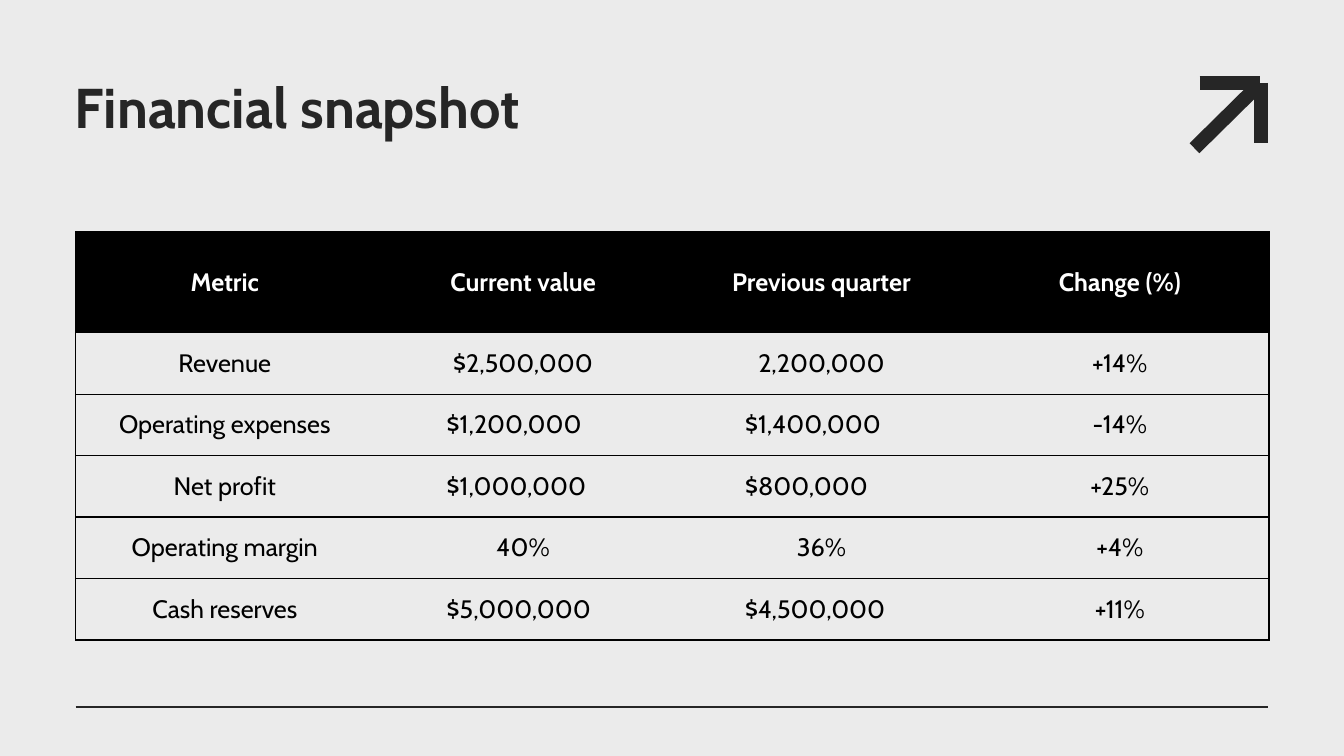
from lxml.etree import SubElement
from pptx import Presentation
from pptx.dml.color import RGBColor
from pptx.enum.shapes import MSO_CONNECTOR
from pptx.enum.text import MSO_ANCHOR, PP_ALIGN
from pptx.oxml import parse_xml
from pptx.oxml.ns import nsdecls, qn
from pptx.util import Pt

COLORS = {"paper": "EBEBEB", "ink": "262626", "black": "000000", "white": "FFFFFF"}
FONT = "Cabin"
LEFT, RIGHT = 54, 906
HEADER_H, ROW_H = 72, 43.92
FIGURE_INDENT = 52

ROWS = [
    ("Metric", "Current value", "Previous quarter", "Change (%)"),
    ("Revenue", "$2,500,000", "2,200,000", "+14%"),
    ("Operating expenses", "$1,200,000", "$1,400,000", "-14%"),
    ("Net profit", "$1,000,000", "$800,000", "+25%"),
    ("Operating margin", "40%", "36%", "+4%"),
    ("Cash reserves", "$5,000,000", "$4,500,000", "+11%"),
]
INDENTED_ROWS = (2, 3, 5)
ARROW = [
    ((856.8, 59.2), (900, 59.2)),
    ((900.8, 59.2), (900.8, 102.2)),
    ((853.2, 105.9), (895.7, 64)),
]


def rgb(name):
    return RGBColor.from_string(COLORS[name])


class SlideBuilder:
    def __init__(self, prs):
        self.slide = prs.slides.add_slide(prs.slide_layouts[5])
        fill = self.slide.background.fill
        fill.solid()
        fill.fore_color.rgb = rgb("paper")

    def style(self, p, size, color, bold=False):
        p.font.name = FONT
        p.font.size = Pt(size)
        p.font.bold = bold
        p.font.color.rgb = rgb(color)

    def title(self, text, x, y, w, h):
        sp = self.slide.shapes.title
        sp.left, sp.top, sp.width, sp.height = Pt(x), Pt(y), Pt(w), Pt(h)
        tf = sp.text_frame
        tf.text = text
        tf.word_wrap = True
        tf.vertical_anchor = MSO_ANCHOR.TOP
        tf.margin_left = tf.margin_top = tf.margin_right = 0
        tf.margin_bottom = Pt(7.2)
        p = tf.paragraphs[0]
        p.alignment = PP_ALIGN.LEFT
        p.line_spacing = Pt(45)
        self.style(p, 40, "ink", bold=True)

    def line(self, start, end, width):
        ln = self.slide.shapes.add_connector(
            MSO_CONNECTOR.STRAIGHT, *map(Pt, start + end))
        ln.line.color.rgb = rgb("ink")
        ln.line.width = Pt(width)
        SubElement(ln._element.spPr, qn("a:effectLst"))
        return ln

    def borders(self, cell, sides):
        """Draw black borders on the given sides (of "LRTB") and clear the rest."""
        tc_pr = cell._tc.get_or_add_tcPr()
        for i, side in enumerate("LRTB"):
            paint = "<a:noFill/>"
            if side in sides:
                paint = f'<a:solidFill><a:srgbClr val="{COLORS["black"]}"/></a:solidFill>'
            tc_pr.insert(i, parse_xml(
                f'<a:ln{side} {nsdecls("a")} w="{Pt(1)}">{paint}</a:ln{side}>'))

    def table(self, rows, x, y, w):
        last = len(rows[0]) - 1
        height = HEADER_H + ROW_H * (len(rows) - 1)
        table = self.slide.shapes.add_table(
            len(rows), last + 1, Pt(x), Pt(y), Pt(w), Pt(height)).table
        table.horz_banding = False
        for r, values in enumerate(rows):
            table.rows[r].height = Pt(ROW_H if r else HEADER_H)
            for c, value in enumerate(values):
                cell = table.cell(r, c)
                cell.text = value
                cell.vertical_anchor = MSO_ANCHOR.MIDDLE
                p = cell.text_frame.paragraphs[0]
                p.alignment = PP_ALIGN.CENTER
                if r in INDENTED_ROWS and 0 < c < last:
                    p.alignment = PP_ALIGN.LEFT
                    cell.margin_left = Pt(FIGURE_INDENT)
                if r:
                    cell.fill.background()
                    self.style(p, 18, "black")
                else:
                    cell.fill.solid()
                    cell.fill.fore_color.rgb = rgb("black")
                    self.style(p, 18, "white", bold=True)
                self.borders(cell, "TB" + "L" * (c == 0) + "R" * (c == last))


def main():
    prs = Presentation()
    prs.slide_width, prs.slide_height = Pt(960), Pt(540)
    s = SlideBuilder(prs)
    for start, end in ARROW:
        s.line(start, end, 10)
    s.line((LEFT, 504.8), (RIGHT, 504.8), 1.5)
    s.title("Financial snapshot", 53.5, 54.7, 792, 100.8)
    s.table(ROWS, LEFT, 165.6, 852.5)
    prs.save("out.pptx")


if __name__ == "__main__":
    main()
